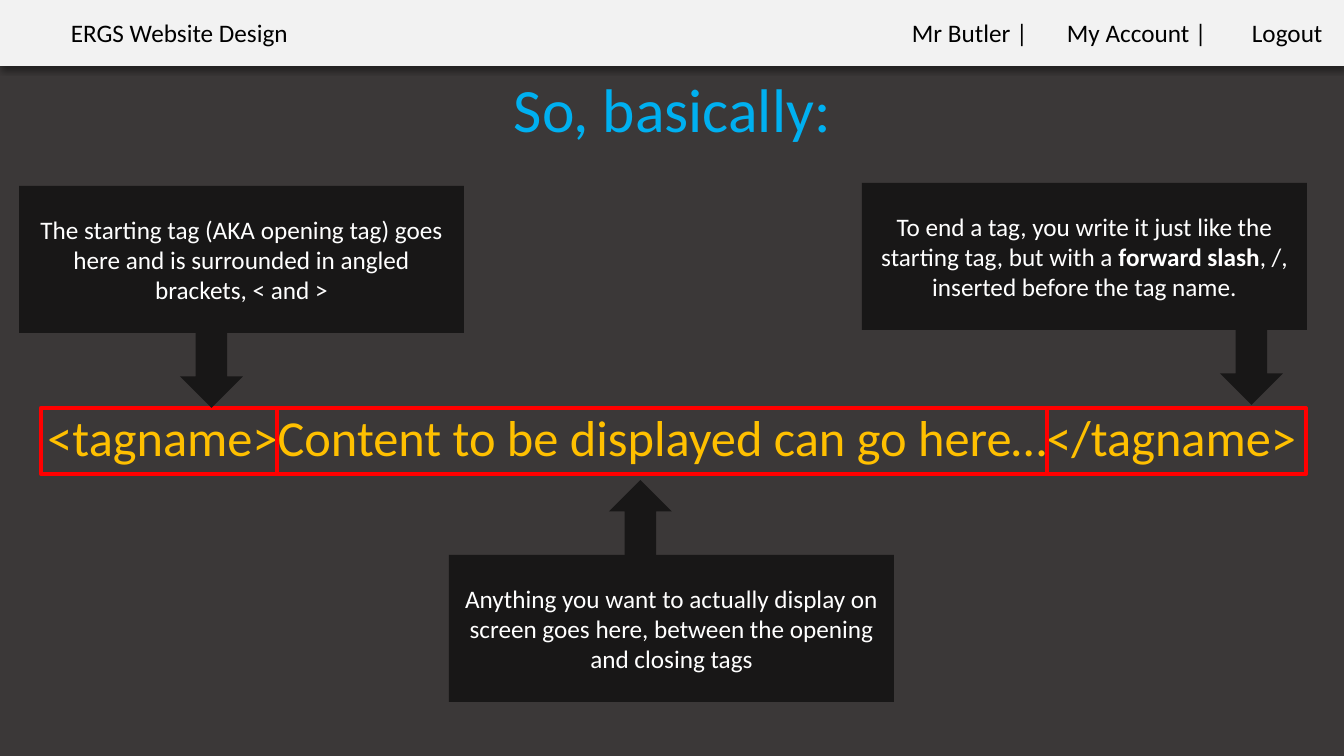
from dataclasses import dataclass

from lxml import etree
from pptx import Presentation
from pptx.dml.color import RGBColor
from pptx.enum.shapes import MSO_SHAPE
from pptx.enum.text import MSO_ANCHOR, MSO_AUTO_SIZE, PP_ALIGN
from pptx.oxml import parse_xml
from pptx.oxml.ns import qn
from pptx.util import Pt

RECTANGLE = MSO_SHAPE.RECTANGLE
DOWN_ARROW = MSO_SHAPE.DOWN_ARROW
LEFT = PP_ALIGN.LEFT
CENTER = PP_ALIGN.CENTER
TOP = MSO_ANCHOR.TOP
MIDDLE = MSO_ANCHOR.MIDDLE
GROW = MSO_AUTO_SIZE.SHAPE_TO_FIT_TEXT
FIXED = MSO_AUTO_SIZE.NONE

PAGE_WIDTH, PAGE_HEIGHT = 1344, 756
EMU_PER_PX = 12192000 / PAGE_WIDTH
DRAWING_NS = "http://schemas.openxmlformats.org/drawingml/2006/main"


@dataclass(frozen=True)
class Theme:
    font: str = "Calibri"
    page: str = "3B3838"
    bar: str = "F2F2F2"
    bar_text: str = "000000"
    shadow: str = "000000"
    title: str = "00B0F0"
    code: str = "FFC000"
    outline: str = "FF0000"
    callout: str = "181717"
    callout_text: str = "FFFFFF"
    small: int = 18
    large: int = 36
    heading: int = 44


THEME = Theme()


def px(length):
    return round(length * EMU_PER_PX)


def color(value):
    return RGBColor.from_string(value)


def add_block(shapes, kind, box, fill=None, line=None):
    block = shapes.add_shape(kind, *map(px, box))
    block.shadow.inherit = False
    if fill:
        block.fill.solid()
        block.fill.fore_color.rgb = color(fill)
    else:
        block.fill.background()
    if line:
        block.line.color.rgb = color(line)
        block.line.width = Pt(3)
    else:
        block.line.fill.background()
    return block


def write(frame, spans, size, ink, align=CENTER, anchor=TOP, spacing=1.0, auto_size=FIXED, tabs=()):
    frame_format = {"word_wrap": True, "auto_size": auto_size, "vertical_anchor": anchor}
    for name, value in frame_format.items():
        setattr(frame, name, value)
    para = frame.paragraphs[0]
    for name, value in {"alignment": align, "line_spacing": spacing}.items():
        setattr(para, name, value)
    if tabs:
        tab_list = etree.SubElement(para._p.get_or_add_pPr(), qn("a:tabLst"))
        for position in tabs:
            etree.SubElement(tab_list, qn("a:tab"), pos=str(px(position)), algn="l")
    for text, bold in spans:
        span = para.add_run()
        span.text = text
        for name, value in {"name": THEME.font, "size": Pt(size), "bold": bold}.items():
            setattr(span.font, name, value)
        span.font.color.rgb = color(ink)


def add_text(shapes, box, text, size, ink, **layout):
    label = shapes.add_textbox(*map(px, box))
    write(label.text_frame, [(text, False)], size, ink, **layout)
    return label


def add_shadow(block):
    effects = block._element.spPr.find(qn("a:effectLst"))
    effects.append(parse_xml(
        f'<a:outerShdw xmlns:a="{DRAWING_NS}" blurRad="{Pt(4)}" dist="{Pt(3)}" dir="5400000" '
        f'algn="t" rotWithShape="0"><a:srgbClr val="{THEME.shadow}">'
        '<a:alpha val="40000"/></a:srgbClr></a:outerShdw>'))


def add_header(page, box):
    left, top, width, height = box
    shapes = page.shapes.add_group_shape().shapes
    add_shadow(add_block(shapes, RECTANGLE, box, fill=THEME.bar))
    bar_style = {"size": THEME.small, "ink": THEME.bar_text, "align": LEFT, "auto_size": GROW}
    add_text(shapes, (left + 61, top + 12, 320, 40), "ERGS Website Design", **bar_style)
    menu = add_text(shapes, (left + width - 553, top + 12, 542, 40),
                    "Mr Butler |\tMy Account |\tLogout", tabs=(155, 340), **bar_style)
    menu.text_frame.margin_left = px(121)
    menu.text_frame.margin_right = 0


def add_title(page, box):
    add_text(page.shapes, box, "So, basically:", THEME.heading, THEME.title,
             anchor=MIDDLE, spacing=0.9)


def add_tag_line(page, box):
    left, top, width, height = box
    add_text(page.shapes, box, "<tagname>Content to be displayed can go here…</tagname>",
             THEME.large, THEME.code, spacing=0.9)
    part_left = left + 22
    for part_width in (236, 770, 259):
        add_block(page.shapes, RECTANGLE, (part_left, top, part_width, height),
                  line=THEME.outline)
        part_left += part_width


def add_callout(page, box, spans, arrow_offset, points_up=False):
    left, top, width, height = box
    shapes = page.shapes.add_group_shape().shapes
    panel = add_block(shapes, RECTANGLE, box, fill=THEME.callout)
    write(panel.text_frame, spans, THEME.small, THEME.callout_text, anchor=MIDDLE)
    arrow_width, arrow_height = 63, 75
    arrow_top = top - arrow_height if points_up else top + height
    arrow = add_block(shapes, DOWN_ARROW,
                      (left + arrow_offset, arrow_top, arrow_width, arrow_height),
                      fill=THEME.callout)
    arrow.rotation = 180 if points_up else 0


def add_tag_page(deck):
    page = deck.slides.add_slide(deck.slide_layouts[6])
    page.background.fill.solid()
    page.background.fill.fore_color.rgb = color(THEME.page)
    add_header(page, (0, 0, PAGE_WIDTH, 66))
    add_tag_line(page, (19, 408, 1306, 66))
    add_title(page, (93, 40, 1159, 146))
    opening = [("The starting tag (AKA opening tag) goes here and is surrounded in "
                "angled brackets, < and >", False)]
    content = [("Anything you want to actually display on screen goes here, between "
                "the opening and closing tags", False)]
    closing = [("To end a tag, you write it just like the starting tag, but with a ", False),
               ("forward slash", True),
               (", /, inserted before the tag name.", False)]
    add_callout(page, (19, 186, 445, 147), opening, 161)
    add_callout(page, (449, 555, 445, 147), content, 160, points_up=True)
    add_callout(page, (862, 183, 445, 147), closing, 358)


def main():
    deck = Presentation()
    deck.slide_width, deck.slide_height = px(PAGE_WIDTH), px(PAGE_HEIGHT)
    add_tag_page(deck)
    deck.save("out.pptx")


if __name__ == "__main__":
    main()
